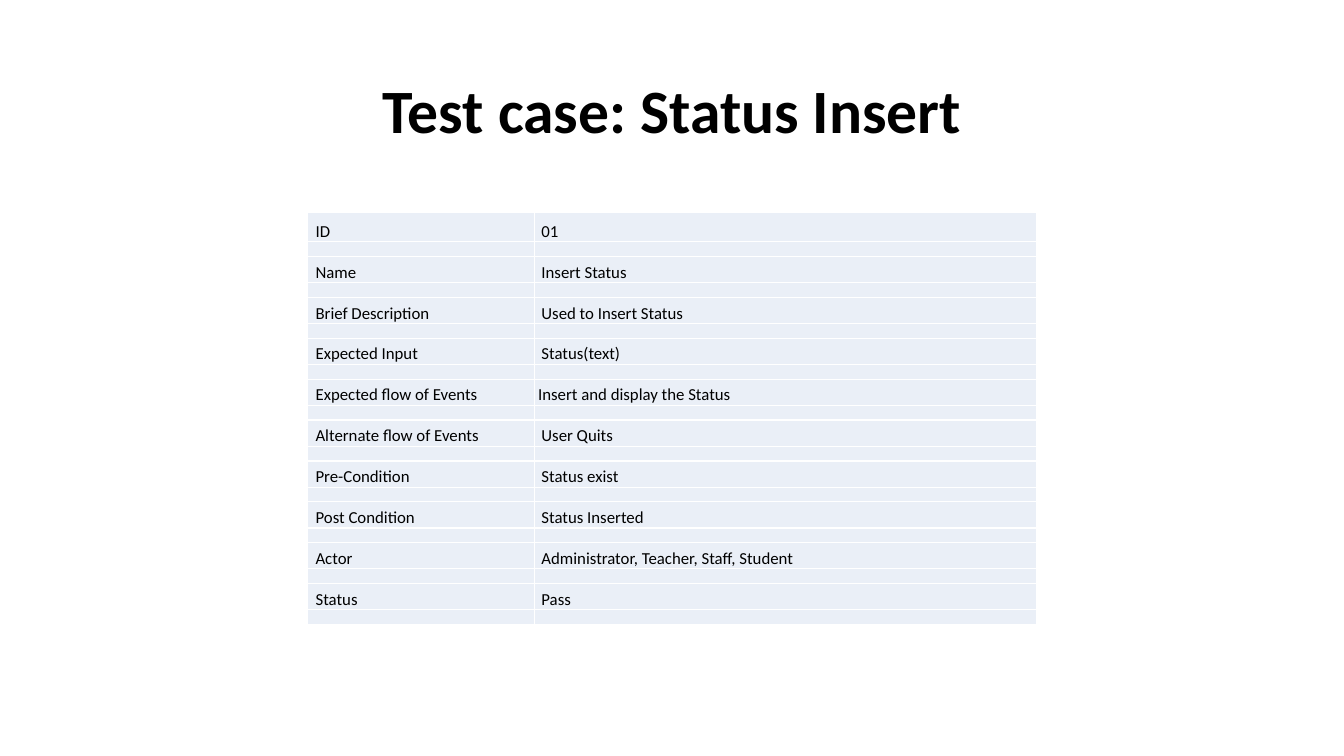
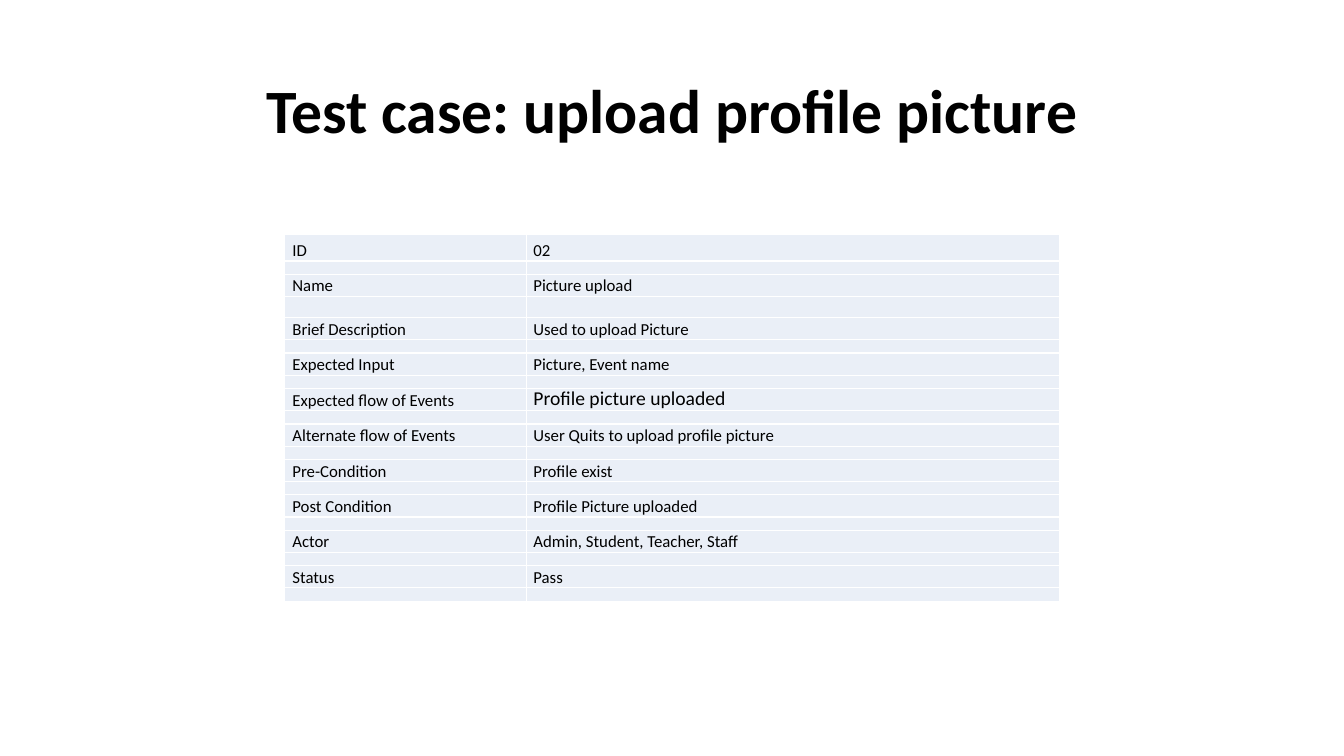
from dataclasses import dataclass, field

from lxml.etree import SubElement
from pptx import Presentation
from pptx.dml.color import RGBColor
from pptx.enum.text import MSO_ANCHOR, MSO_AUTO_SIZE, PP_ALIGN
from pptx.oxml.ns import qn
from pptx.presentation import Presentation as Deck
from pptx.slide import Slide
from pptx.table import _Cell as Cell
from pptx.util import Inches, Length, Pt


@dataclass(frozen=True)
class Theme:
    font: str = "Calibri"
    ink: RGBColor = RGBColor.from_string("000000")
    cell_fill: RGBColor = RGBColor.from_string("EAEFF7")
    border: str = "FFFFFF"
    border_width: Length = Pt(1)
    title_size: int = 44
    body_size: int = 12
    large_size: int = 14
    spacer_size: int = 4
    title_spacing: float = 0.9
    first_spacing: float = 1.07
    row_spacing: Length = Pt(12.9)
    label_indent: float = 0.08
    value_indent: float = 0.07


THEME = Theme()
LABELS = (
    "ID",
    "Name",
    "Brief Description",
    "Expected Input",
    "Expected flow of Events",
    "Alternate flow of Events",
    "Pre-Condition",
    "Post Condition",
    "Actor",
    "Status",
)


@dataclass(frozen=True)
class Value:
    text: str
    size: int = THEME.body_size
    indent: float = THEME.value_indent


@dataclass(frozen=True)
class TestCase:
    title: str
    values: tuple[Value, ...]
    left: float
    top: float
    height: float
    columns: tuple[float, float]
    first_row: float
    row: float
    wide_gaps: dict[int, float] = field(default_factory=dict)

    def row_heights(self) -> list[float]:
        count = len(self.values)
        text_rows = [self.first_row] + [self.row] * (count - 1)
        free = self.height - sum(text_rows) - sum(self.wide_gaps.values())
        gap = free / (count - len(self.wide_gaps))
        heights = []
        for i, text_row in enumerate(text_rows):
            heights += [text_row, self.wide_gaps.get(i, gap)]
        return heights


CASES = (
    TestCase(
        title="Test case: Status Insert",
        values=(
            Value("01"),
            Value("Insert Status"),
            Value("Used to Insert Status"),
            Value("Status(text)"),
            Value(" Insert and display the Status", indent=0),
            Value("User Quits"),
            Value("Status exist"),
            Value("Status Inserted"),
            Value("Administrator, Teacher, Staff, Student"),
            Value("Pass"),
        ),
        left=3.05,
        top=2.11,
        height=4.09,
        columns=(2.25, 4.98),
        first_row=0.29,
        row=0.26,
    ),
    TestCase(
        title="Test case: upload profile picture",
        values=(
            Value("02"),
            Value("Picture upload"),
            Value("Used to upload Picture"),
            Value("Picture, Event name"),
            Value("Profile picture uploaded", size=THEME.large_size),
            Value("User Quits to upload profile picture"),
            Value("Profile exist"),
            Value("Profile Picture uploaded"),
            Value("Admin, Student, Teacher, Staff"),
            Value("Pass"),
        ),
        left=2.82,
        top=2.33,
        height=3.64,
        columns=(2.4, 5.29),
        first_row=0.26,
        row=0.22,
        wide_gaps={1: 0.21},
    ),
)


def style_cell(cell: Cell) -> None:
    cell.margin_left = cell.margin_right = Inches(0)
    cell.margin_top = cell.margin_bottom = Inches(0)
    cell.vertical_anchor = MSO_ANCHOR.BOTTOM
    tc_pr = cell._tc.get_or_add_tcPr()
    for side in ("lnL", "lnR", "lnT", "lnB"):
        ln = SubElement(tc_pr, qn(f"a:{side}"), w=str(THEME.border_width))
        solid = SubElement(ln, qn("a:solidFill"))
        SubElement(solid, qn("a:srgbClr"), val=THEME.border)
    cell.fill.solid()
    cell.fill.fore_color.rgb = THEME.cell_fill


def write_cell(cell: Cell, value: Value, spacing: float | Length) -> None:
    p = cell.text_frame.paragraphs[0]
    p.line_spacing = spacing
    p._p.get_or_add_pPr().set("marL", str(Inches(value.indent)))
    r = p.add_run()
    r.text = value.text
    r.font.name = THEME.font
    r.font.size = Pt(value.size)
    r.font.color.rgb = THEME.ink


def shrink_empty_cell(cell: Cell) -> None:
    p = cell.text_frame.paragraphs[0]
    SubElement(p._p, qn("a:endParaRPr"), sz=str(THEME.spacer_size * 100))


def add_title(slide: Slide, text: str) -> None:
    sp = slide.shapes.title
    sp.left, sp.top = Inches(0.92), Inches(0.4)
    sp.width, sp.height = Inches(11.5), Inches(1.45)
    tf = sp.text_frame
    tf.word_wrap = True
    tf.auto_size = MSO_AUTO_SIZE.NONE
    tf.vertical_anchor = MSO_ANCHOR.MIDDLE
    p = tf.paragraphs[0]
    p.alignment = PP_ALIGN.CENTER
    p.line_spacing = THEME.title_spacing
    r = p.add_run()
    r.text = text
    r.font.name = THEME.font
    r.font.size = Pt(THEME.title_size)
    r.font.bold = True
    r.font.color.rgb = THEME.ink


def add_case_table(slide: Slide, case: TestCase) -> None:
    heights = case.row_heights()
    table = slide.shapes.add_table(
        len(heights), len(case.columns),
        Inches(case.left), Inches(case.top),
        Inches(sum(case.columns)), Inches(case.height),
    ).table
    table.first_row = table.horz_banding = False
    for column, width in zip(table.columns, case.columns):
        column.width = Inches(width)
    for row, height in zip(table.rows, heights):
        row.height = Inches(height)
    for cell in table.iter_cells():
        style_cell(cell)
    for i, (label, value) in enumerate(zip(LABELS, case.values)):
        spacing = THEME.row_spacing if i else THEME.first_spacing
        heading = Value(label, indent=THEME.label_indent)
        for col, content in enumerate((heading, value)):
            write_cell(table.cell(2 * i, col), content, spacing)
            shrink_empty_cell(table.cell(2 * i + 1, col))


def add_case_slide(prs: Deck, case: TestCase) -> None:
    slide = prs.slides.add_slide(prs.slide_layouts.get_by_name("Title Only"))
    add_title(slide, case.title)
    add_case_table(slide, case)


def main() -> None:
    prs = Presentation()
    prs.slide_width, prs.slide_height = Inches(13.33), Inches(7.5)
    for case in CASES:
        add_case_slide(prs, case)
    prs.save("out.pptx")


if __name__ == "__main__":
    main()
